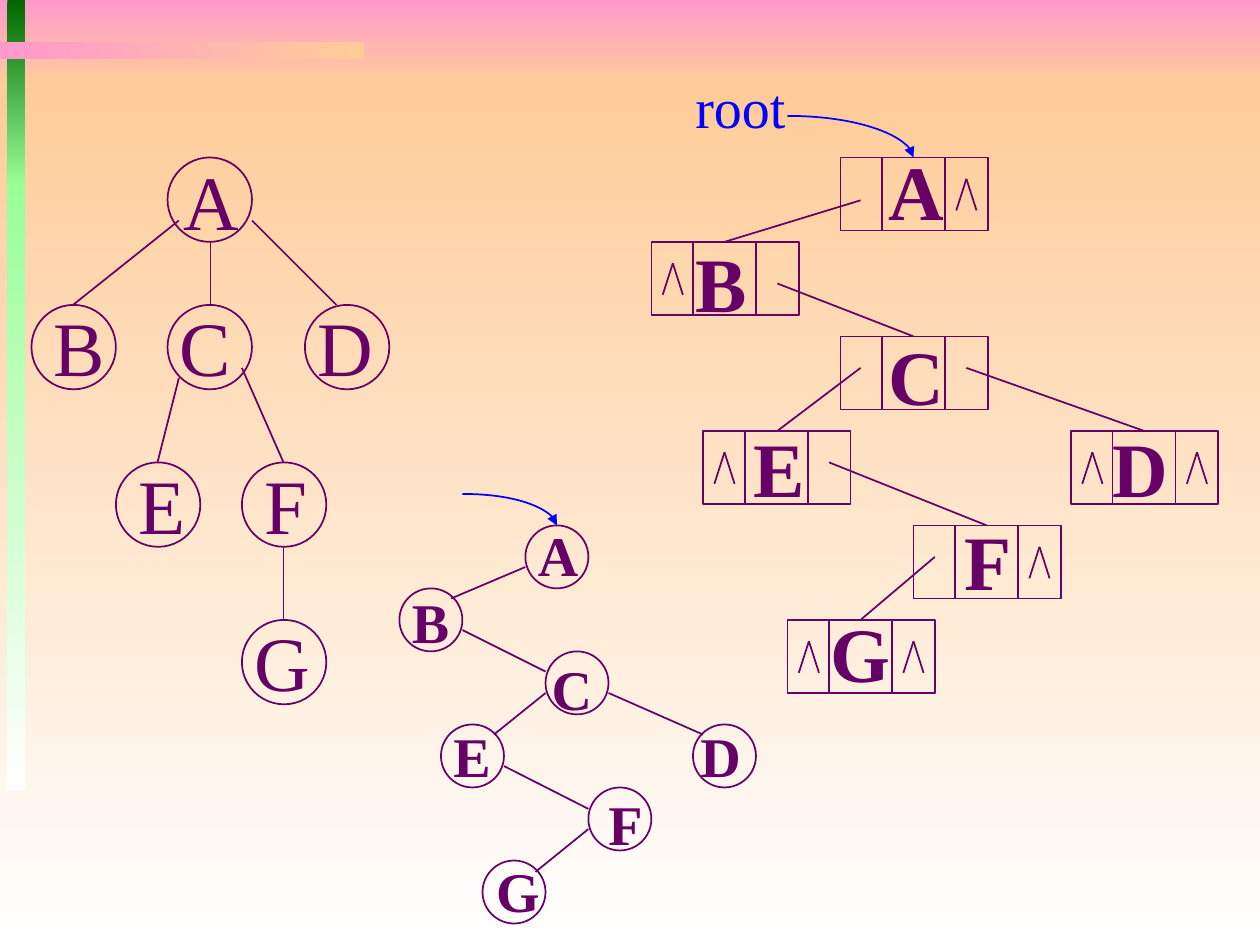
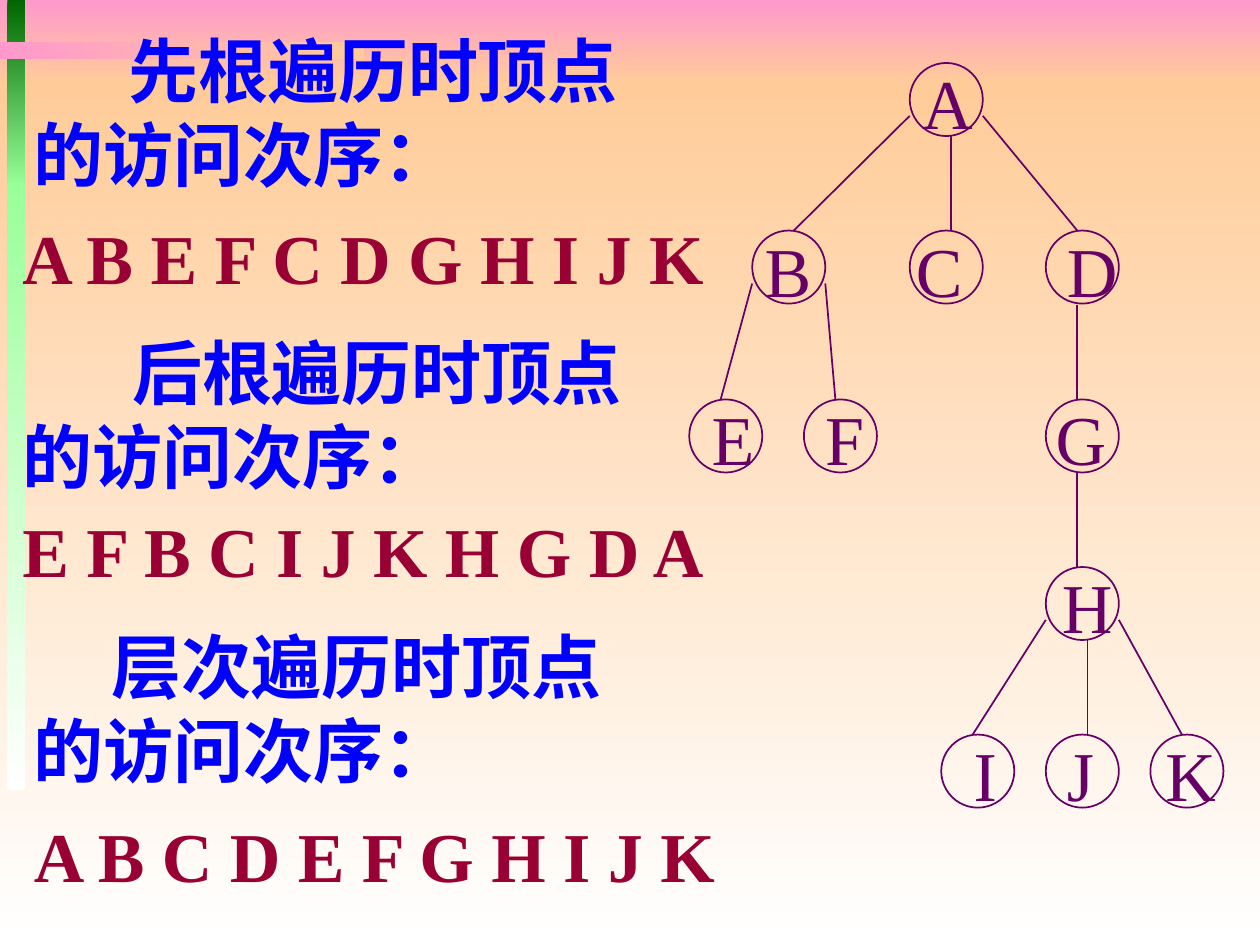
from lxml import etree
from pptx import Presentation, util as u
from pptx.dml.color import RGBColor
from pptx.enum import shapes, text
from pptx.oxml.ns import qn

COLORS = {"plum": "660066", "blue": "0000FF", "wine": "990033", "pink": "FF99CC",
          "peach": "FFCC99", "white": "FFFFFF", "forest": "006600", "mint": "99FF99"}
RGB = {name: RGBColor.from_string(value) for name, value in COLORS.items()}
FONT = "Times New Roman"
OVAL, RECT = shapes.MSO_SHAPE.OVAL, shapes.MSO_SHAPE.RECTANGLE


def add_line(s, x1, y1, x2, y2, color="plum", arrow=False):
    """Straight edge, or a curved pointer with an arrowhead."""
    kind = shapes.MSO_CONNECTOR.CURVE if arrow else shapes.MSO_CONNECTOR.STRAIGHT
    c = s.shapes.add_connector(kind, *map(u.Inches, (x1, y1, x2, y2)))
    c.line.color.rgb = RGB[color]
    c.line.width = u.Pt(1)
    spPr = c.element.spPr
    if arrow:
        spPr.find(qn("a:prstGeom")).set("prst", "curvedConnector2")
        etree.SubElement(spPr.find(qn("a:ln")), qn("a:tailEnd"), type="triangle")
    etree.SubElement(spPr, qn("a:effectLst"))


def add_text(s, box, rows, size, color="plum", bold=False, wrap=True, indent=0, lines=1):
    """One paragraph per row; a row is a list of (text, offset) set on tab stops."""
    tf = s.shapes.add_textbox(*map(u.Inches, box)).text_frame
    tf.word_wrap = wrap
    tf.auto_size = text.MSO_AUTO_SIZE.SHAPE_TO_FIT_TEXT
    for i, row in enumerate(rows):
        p = tf.paragraphs[0] if i == 0 else tf.add_paragraph()
        p.text = "".join(("\t" if offset else "") + word for word, offset in row)
        p.line_spacing = u.Pt(1.2 * size * (lines if i else 1))
        pPr = p._p.get_or_add_pPr()
        if indent:
            pPr.set("indent", str(u.Inches(indent)))
        stops = [offset for _, offset in row if offset]
        if stops:
            tabs = etree.SubElement(pPr, qn("a:tabLst"))
            for stop in stops:
                etree.SubElement(tabs, qn("a:tab"), pos=str(u.Inches(stop)), algn="l")
        for r in p.runs:
            r.font.name = FONT
            r.font.size = u.Pt(size)
            r.font.bold = bold
            r.font.color.rgb = RGB[color]


prs = Presentation()
prs.slide_width, prs.slide_height = u.Inches(10), u.Inches(7.5)
trees, orders = [prs.slides.add_slide(prs.slide_layouts[6]) for _ in range(2)]

# Shared gradient bands, moved to the master
bands = [
    (0, 0, 10, 0.67, "pink", "peach", 270),
    (0, 0.67, 10, 6.83, "peach", "white", 270),
    (0.06, 0, 0.14, 1.48, "forest", "mint", 270),
    (0.06, 1.46, 0.14, 4.81, "mint", "white", 270),
    (0, 0.33, 2.89, 0.14, "pink", "peach", 0),
]
for i, (x, y, w, h, start, end, angle) in enumerate(bands):
    sp = trees.shapes.add_shape(RECT, *map(u.Inches, (x, y, w, h)))
    sp.shadow.inherit = False
    sp.line.fill.background()
    sp.fill.gradient()
    sp.fill.gradient_angle = angle
    for stop, name in zip(sp.fill.gradient_stops, (start, end)):
        stop.color.rgb = RGB[name]
    sp.element.nvSpPr.cNvPr.set("id", str(100 + i))
    prs.slide_master.shapes.element.insert(2 + i, sp.element)

# Node outlines
general_nodes = [(1.33, 1.25), (1.33, 2.42), (0.25, 2.42), (2.42, 2.42),
                 (0.92, 3.67), (1.92, 3.67), (1.92, 4.92)]
binary_nodes = [(4.17, 4.17), (4.33, 5.17), (3.17, 4.67), (5.5, 5.75),
                (3.5, 5.75), (4.67, 6.25), (3.83, 6.83)]
# left, top, and the offsets of the empty pointers
cells = [(6.67, 1.25, [1]), (5.17, 1.92, [0.17]), (6.67, 2.67, []),
         (5.58, 3.42, [0.17]), (8.5, 3.42, [0.17, 1]), (7.25, 4.17, [1]),
         (6.25, 4.92, [0.17, 1])]
order_nodes = [(7.22, 0.5), (5.97, 1.83), (7.22, 1.83), (8.3, 1.83),
               (5.47, 3.17), (6.38, 3.17), (8.3, 3.17), (8.3, 4.5),
               (7.47, 5.83), (8.3, 5.83), (9.13, 5.83)]
for s, kind, w, h, spots in [
        (trees, OVAL, 0.67, 0.67, general_nodes),
        (trees, OVAL, 0.5, 0.5, binary_nodes),
        (trees, RECT, 1.17, 0.58, [cell[:2] for cell in cells]),
        (orders, OVAL, 0.58, 0.58, order_nodes)]:
    for x, y in spots:
        sp = s.shapes.add_shape(kind, *map(u.Inches, (x, y, w, h)))
        sp.shadow.inherit = False
        sp.fill.background()
        sp.line.color.rgb = RGB["plum"]
        sp.line.width = u.Pt(1)

# Cell dividers and empty-pointer carets
for x, y, empty in cells:
    for divider in (0.33, 0.83):
        add_line(trees, x + divider, y, x + divider, y + 0.58)
    for offset in empty:
        for side in (-0.08, 0.08):
            add_line(trees, x + offset, y + 0.17, x + offset + side, y + 0.42)

# Edges between nodes
general_edges = [(2, 1.75, 2.67, 2.42), (1.42, 1.75, 0.58, 2.42),
                 (1.42, 3, 1.25, 3.67), (1.67, 1.92, 1.67, 2.42),
                 (1.92, 2.92, 2.25, 3.67), (2.25, 4.33, 2.25, 4.92)]
cell_edges = [(6.83, 1.59, 5.75, 1.92), (6.17, 2.25, 7.25, 2.67),
              (6.83, 2.92, 6.17, 3.42), (7.67, 2.92, 9.08, 3.42),
              (6.58, 3.67, 7.83, 4.17), (7.42, 4.42, 6.83, 4.92)]
binary_edges = [(4.17, 4.5, 3.58, 4.75), (3.67, 5, 4.33, 5.33),
                (4.83, 5.5, 5.58, 5.83), (4.33, 5.5, 3.92, 5.83),
                (4, 6.08, 4.67, 6.42), (4.67, 6.58, 4.25, 6.92)]
order_edges = [(7.55, 1.08, 7.55, 1.83), (7.22, 0.92, 6.3, 1.83),
               (7.8, 0.92, 8.55, 1.83), (5.97, 2.25, 5.72, 3.17),
               (6.55, 2.25, 6.63, 3.17), (8.55, 2.42, 8.55, 3.17),
               (8.55, 3.75, 8.55, 4.5), (8.63, 5.08, 8.63, 5.83),
               (8.3, 4.92, 7.72, 5.83), (8.88, 4.92, 9.38, 5.83)]
for s, edges in [(trees, general_edges + cell_edges + binary_edges),
                 (orders, order_edges)]:
    for edge in edges:
        add_line(s, *edge)

# Root pointers
add_line(trees, 6.25, 0.92, 7.25, 1.25, "blue", arrow=True)
add_line(trees, 3.67, 3.92, 4.42, 4.17, "blue", arrow=True)
add_text(trees, (5.42, 0.53, 0.92, 0.63), [[("root", 0)]], 32, "blue", wrap=False)

# Letters of the general tree
for letter, x, y, w in [("A", 1.36, 1.17, 0.64), ("B", 0.33, 2.33, 0.61),
                        ("C", 1.33, 2.33, 0.61), ("D", 2.42, 2.33, 0.64),
                        ("E", 1, 3.58, 0.57), ("F", 2, 3.58, 0.54),
                        ("G", 1.92, 4.83, 0.64)]:
    add_text(trees, (x, y, w, 0.83), [[(letter, 0)]], 44, wrap=False)

# Letters of the linked cells and of the binary tree
add_text(trees, (5.42, 1.09, 4.42, 4.5),
         [[("A", 1.53)], [("B", 0)], [("C", 1.53)], [("E", 0.46), ("D", 3.31)],
          [("F", 2.14)], [("G", 1.07)]], 44, bold=True)
add_text(trees, (3.17, 4.08, 2.9, 3.3),
         [[("A", 1)], [("B", 0)], [("C", 1.11)], [("E", 0.33), ("D", 2.29)],
          [("F", 1.56)], [("G", 0.67)]], 32, bold=True)

# Letters of the traversal tree, on every second line
add_text(orders, (5.55, 0.42, 4.3, 6.1),
         [[("A", 1.67)], [("B", 0.42), ("C", 1.62), ("D", 2.82)],
          [("E", 0), ("F", 0.9), ("G", 2.73)], [("H", 2.78)],
          [("I", 2.08), ("J", 2.82), ("K", 3.6)]], 40, lines=2)

# Traversal headings and their visiting orders
for heading, x, y, w, indent, order, order_x, order_y in [
        ("先根遍历时顶点的访问次序：", 0.17, 0.17, 5.08, 0.75,
         "A B E F C D G H I J K", 0.08, 1.65),
        ("后根遍历时顶点的访问次序：", 0.08, 2.57, 5.18, 0.87,
         "E F B C I J K H G D A", 0.08, 3.98),
        ("层次遍历时顶点的访问次序：", 0.17, 4.9, 4.83, 0.62,
         "A B C D E F G H I J K", 0.17, 6.4)]:
    add_text(orders, (x, y, w, 1.43), [[(heading, 0)]], 40, "blue", True, indent=indent)
    add_text(orders, (order_x, order_y, 5.66, 0.77), [[(order, 0)]], 40, "wine", True,
             wrap=False)

prs.save("out.pptx")
